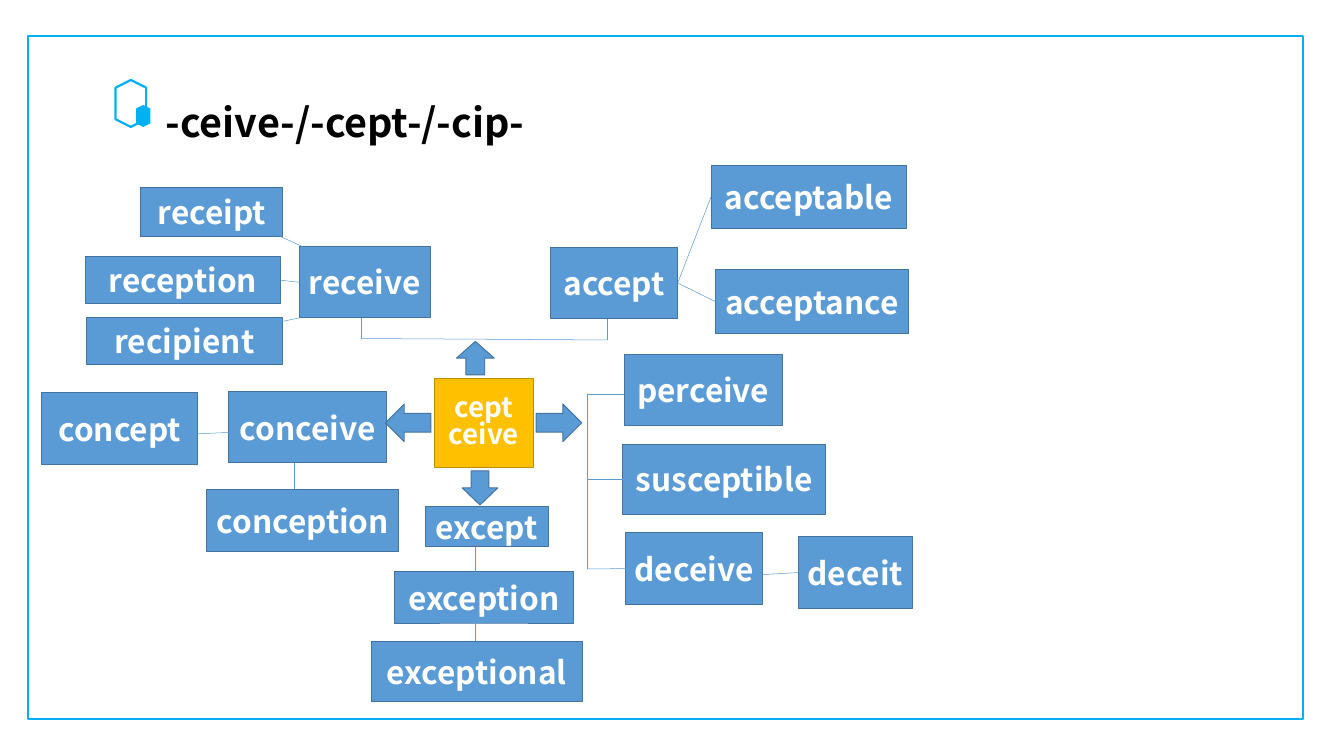
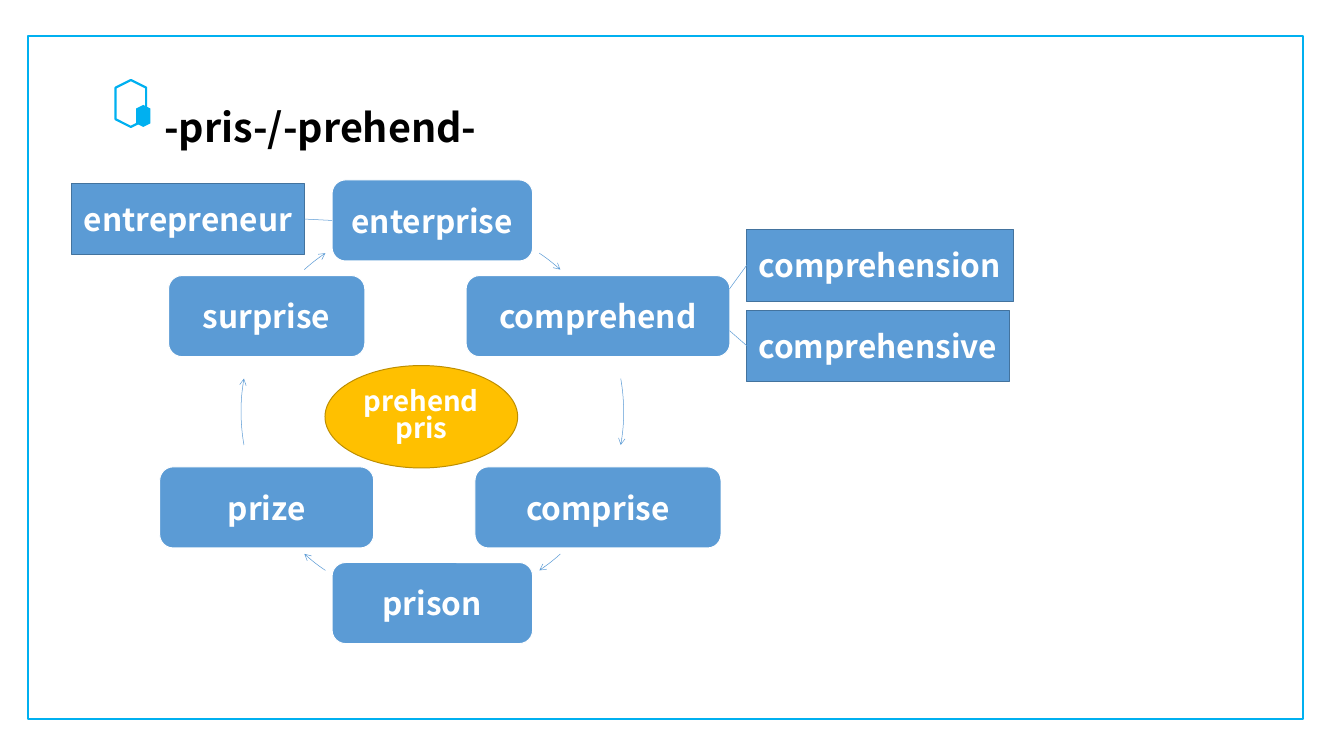
import math
from dataclasses import dataclass

import pptx
import pptx.util
import pptx.dml.color
import pptx.enum.shapes
import pptx.enum.text
import pptx.oxml.ns
from lxml import etree

Inches = pptx.util.Inches
SHAPE = pptx.enum.shapes.MSO_SHAPE
LEFT, BOTTOM, RIGHT = 1, 2, 3  # connection sites of a rectangle


# Theme
@dataclass(frozen=True)
class Theme:
    font: str = "Noto Sans CJK SC"
    accent: str = "00B0F0"
    blue: str = "5B9BD5"
    blue_edge: str = "43739E"
    gold: str = "FFC000"
    gold_edge: str = "BD8E00"
    white: str = "FFFFFF"
    black: str = "000000"
    title_size: float = 40
    word_size: float = 32
    root_size: float = 28
    root_spacing: float = 0.82
    frame_line: float = 2.25
    edge_line: float = 1
    link_line: float = 0.5


THEME = Theme()


def rgb(color):
    return pptx.dml.color.RGBColor.from_string(color)


# Element builders
def style_text(paragraph, size, color):
    font = paragraph.font
    font.name, font.size, font.bold = THEME.font, pptx.util.Pt(size), True
    font.color.rgb = rgb(color)


def set_line(line, color, width):
    line.color.rgb = rgb(color)
    line.width = pptx.util.Pt(width)


def add_shape(slide, kind, box, fill=None, edge=None, width=THEME.edge_line, rotation=0):
    shape = slide.shapes.add_shape(kind, *map(Inches, box))
    shape.shadow.inherit = False
    shape.rotation = rotation
    if fill:
        shape.fill.solid()
        shape.fill.fore_color.rgb = rgb(fill)
    else:
        shape.fill.background()
    if edge:
        set_line(shape.line, edge, width)
    else:
        shape.line.fill.background()
    return shape


def write(shape, lines, size, spacing=None):
    frame = shape.text_frame
    frame.vertical_anchor = pptx.enum.text.MSO_ANCHOR.MIDDLE
    frame.text = "\n".join(lines)
    for paragraph in frame.paragraphs:
        paragraph.alignment = pptx.enum.text.PP_ALIGN.CENTER
        paragraph.line_spacing = spacing
        style_text(paragraph, size, THEME.white)


def add_word(slide, word, box, kind=SHAPE.RECTANGLE, edge=THEME.blue_edge):
    shape = add_shape(slide, kind, box, THEME.blue, edge)
    write(shape, [word], THEME.word_size)
    return shape


def add_root(slide, lines, box, kind):
    shape = add_shape(slide, kind, box, THEME.gold, THEME.gold_edge)
    write(shape, lines, THEME.root_size, THEME.root_spacing)


def add_link(slide, start, end):
    """Each end is a point (x, y) or a joint (shape, side)."""
    def is_point(place):
        return isinstance(place[0], (int, float))

    points = [Inches(v) for place in (start, end)
              for v in (place if is_point(place) else (0, 0))]
    link = slide.shapes.add_connector(pptx.enum.shapes.MSO_CONNECTOR.STRAIGHT, *points)
    if not is_point(start):
        link.begin_connect(*start)
    if not is_point(end):
        link.end_connect(*end)
    set_line(link.line, THEME.blue, THEME.link_line)
    etree.SubElement(link._element.spPr, pptx.oxml.ns.qn("a:effectLst"))


def add_arc_arrow(slide, center, radius, start, end):
    """Clockwise arrow along a circle, angles in degrees from the top."""
    box = (center[0] - radius, center[1] - radius, 2 * radius, 2 * radius)
    arc = add_shape(slide, SHAPE.ARC, box, edge=THEME.blue, width=THEME.link_line)
    for i, angle in enumerate((start, end)):
        arc.adjustments[i] = (angle - 90) % 360 * 0.6
    line = arc.line._get_or_add_ln()
    etree.SubElement(line, pptx.oxml.ns.qn("a:tailEnd"), type="arrow")


def add_slide(prs, layout, title, left, top, width):
    slide = prs.slides.add_slide(layout)
    heading = slide.shapes.title
    heading.left, heading.top, heading.width, heading.height = map(
        Inches, (left, top, width, 0.77))
    frame = heading.text_frame
    frame.text = title
    frame.word_wrap = True
    frame.auto_size = pptx.enum.text.MSO_AUTO_SIZE.NONE
    frame.vertical_anchor = pptx.enum.text.MSO_ANCHOR.MIDDLE
    frame.paragraphs[0].alignment = pptx.enum.text.PP_ALIGN.LEFT
    style_text(frame.paragraphs[0], THEME.title_size, THEME.black)
    return slide


def decorate_layout(slide, layout):
    """Put the shared frame and hexagon mark on the layout."""
    frame = add_shape(slide, SHAPE.RECTANGLE, (0.39, 0.51, 17.93, 9.6),
                      edge=THEME.accent, width=THEME.frame_line)
    large = add_shape(slide, SHAPE.HEXAGON, (1.51, 1.24, 0.66, 0.43),
                      edge=THEME.accent, width=THEME.frame_line, rotation=90)
    small = add_shape(slide, SHAPE.HEXAGON, (1.86, 1.53, 0.31, 0.2),
                      THEME.accent, rotation=90)
    for part in (frame, large, small):
        layout.shapes._spTree.append(part._element)


# Slides
def fill_ceive(slide):
    places = {
        "receive": (4.21, 3.47, 1.84, 1),
        "receipt": (1.98, 2.63, 2, 0.69),
        "reception": (1.2, 3.61, 2.75, 0.66),
        "recipient": (1.22, 4.46, 2.75, 0.66),
        "accept": (7.74, 3.48, 1.79, 1),
        "acceptable": (10, 2.32, 2.75, 0.89),
        "acceptance": (10.06, 3.79, 2.72, 0.9),
        "conceive": (3.22, 5.51, 2.22, 1),
        "concept": (0.59, 5.52, 2.19, 1.01),
        "conception": (2.91, 6.88, 2.7, 0.88),
        "perceive": (8.78, 4.98, 2.22, 1),
        "susceptible": (8.76, 6.25, 2.85, 0.98),
        "deceive": (8.8, 7.49, 1.92, 1.01),
        "deceit": (11.23, 7.55, 1.6, 1),
        "except": (5.98, 7.12, 1.73, 0.57),
        "exception": (5.55, 8.04, 2.51, 0.72),
        "exceptional": (5.22, 9.02, 2.97, 0.85),
    }
    words = {word: add_word(slide, word, box) for word, box in places.items()}

    # Root with an arrow to each family
    add_root(slide, ["cept", "ceive"], (6.11, 5.32, 1.39, 1.25), SHAPE.RECTANGLE)
    for rotation, box in ((0, (7.54, 5.68, 0.64, 0.53)), (90, (6.51, 6.61, 0.48, 0.5)),
                          (180, (5.42, 5.68, 0.64, 0.53)), (270, (6.45, 4.77, 0.47, 0.53))):
        add_shape(slide, SHAPE.RIGHT_ARROW, box, THEME.blue, THEME.blue_edge,
                  rotation=rotation)

    # Brackets, then branches
    links = [
        ((5.08, 4.76), (8.54, 4.78)),
        ((5.08, 4.47), (5.08, 4.76)),
        ((8.54, 4.48), (8.54, 4.78)),
        ((8.26, 5.55), (8.26, 8)),
        ((8.26, 5.55), (8.78, 5.55)),
        ((8.26, 6.74), (words["susceptible"], LEFT)),
        ((8.26, 8), (words["deceive"], LEFT)),
        ((4.26, 3.47), (3.93, 3.32)),
        ((words["receive"], LEFT), (words["reception"], RIGHT)),
        ((4.21, 4.47), (3.97, 4.52)),
        ((words["accept"], RIGHT), (words["acceptable"], LEFT)),
        ((words["accept"], RIGHT), (words["acceptance"], LEFT)),
        ((2.78, 6.1), (3.22, 6.08)),
        ((4.14, 6.51), (4.14, 6.88)),
        ((10.72, 8.08), (words["deceit"], LEFT)),
        ((6.69, 7.69), (6.69, 8.04)),
        ((6.69, 8.76), (6.69, 9.02)),
    ]
    for start, end in links:
        add_link(slide, start, end)


def fill_prehend(slide):
    # Word cycle, clockwise from the top
    center, radius, height = (6.08, 5.79), 2.69, 1.14
    widths = {"enterprise": 2.82, "comprehend": 3.71, "comprise": 3.46,
              "prison": 2.82, "prize": 3.01, "surprise": 2.76}
    cycle = {}
    for i, (word, width) in enumerate(widths.items()):
        angle = math.radians(60 * i)
        x = center[0] + radius * math.sin(angle)
        y = center[1] - radius * math.cos(angle)
        cycle[word] = add_word(slide, word, (x - width / 2, y - height / 2, width, height),
                               SHAPE.ROUNDED_RECTANGLE, THEME.white)
    for start, end in ((34, 42), (80, 100), (138, 146),
                       (214, 222), (260, 280), (318, 326)):
        add_arc_arrow(slide, center, radius, start, end)
    add_root(slide, ["prehend", "pris"], (4.57, 5.14, 2.71, 1.44),
             SHAPE.FLOWCHART_CONNECTOR)

    # Derived words
    comprehension = add_word(slide, "comprehension", (10.5, 3.22, 3.75, 1.02))
    comprehensive = add_word(slide, "comprehensive", (10.5, 4.36, 3.69, 1))
    entrepreneur = add_word(slide, "entrepreneur", (1.01, 2.58, 3.27, 1))
    add_link(slide, (10.26, 4.06), (comprehension, LEFT))
    add_link(slide, (10.26, 4.65), (comprehensive, LEFT))
    add_link(slide, (entrepreneur, RIGHT), (cycle["enterprise"], LEFT))


def main():
    prs = pptx.Presentation()
    prs.slide_width, prs.slide_height = Inches(18.9), Inches(10.63)
    layout = prs.slide_layouts[5]

    ceive = add_slide(prs, layout, "-ceive-/-cept-/-cip-", 2.23, 1.32, 5.65)
    decorate_layout(ceive, layout)
    fill_ceive(ceive)

    prehend = add_slide(prs, layout, "-pris-/-prehend-", 2.21, 1.39, 5.03)
    fill_prehend(prehend)

    prs.save("out.pptx")


if __name__ == "__main__":
    main()
